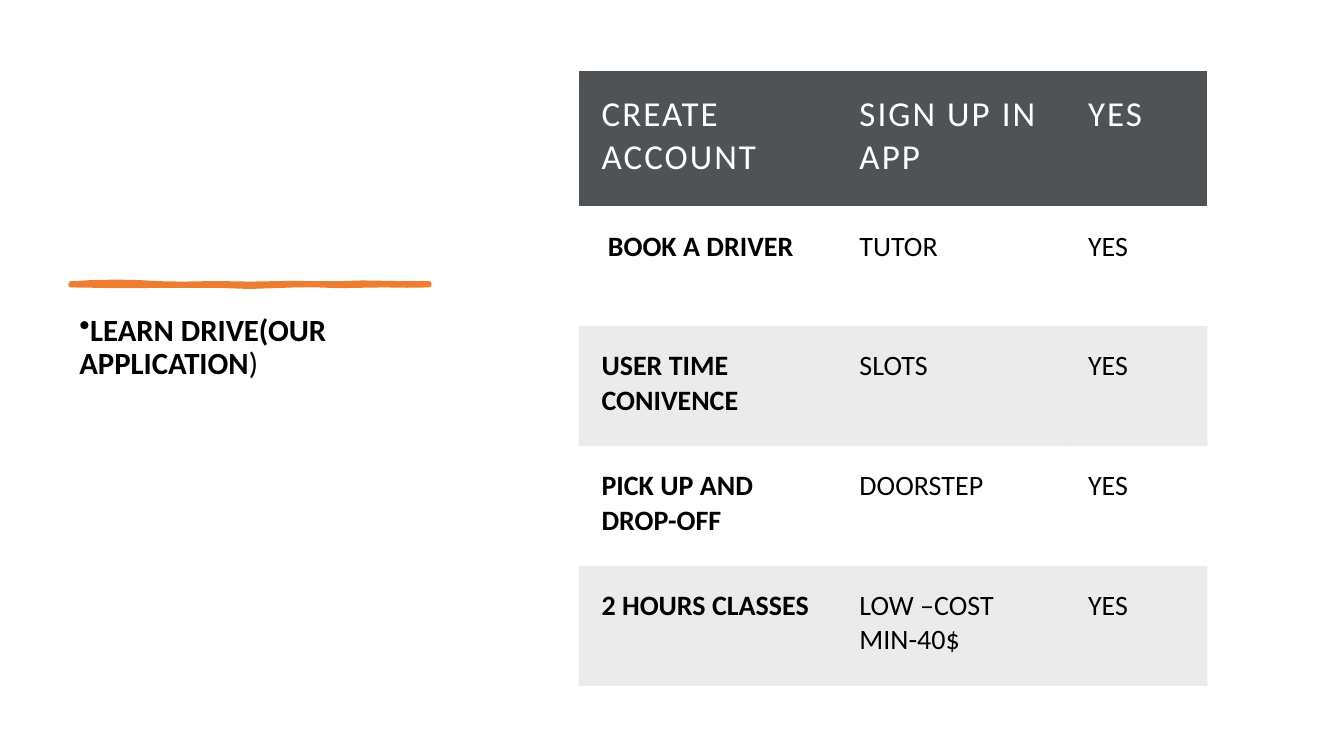
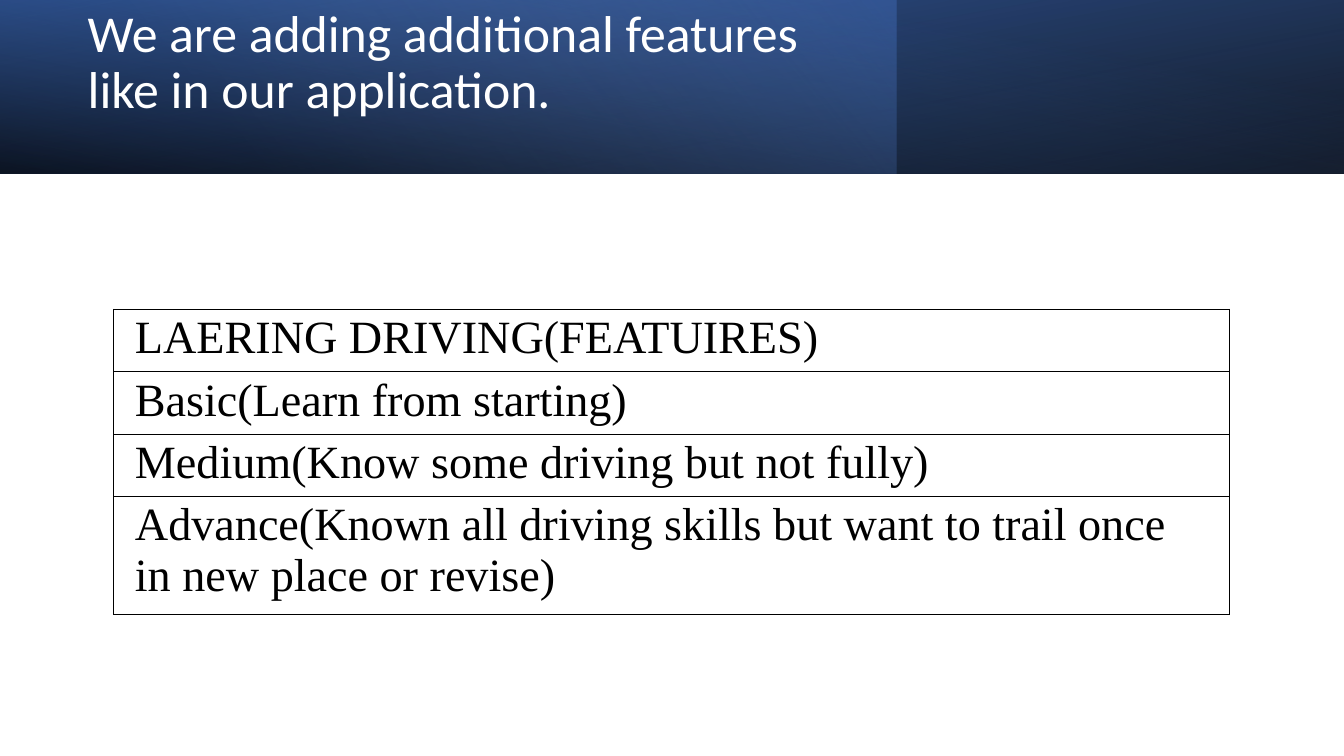
from lxml.etree import SubElement
from pptx import Presentation
from pptx.dml.color import RGBColor
from pptx.enum.shapes import MSO_SHAPE as Shape
from pptx.enum.text import MSO_ANCHOR as Anchor
from pptx.oxml.ns import qn
from pptx.util import Cm, Pt

COLORS = {
    "black": "000000", "white": "FFFFFF", "orange": "ED7D31", "header": "505356",
    "navy": "2F5597", "blue": "4472C4", "light_blue": "8FAADC",
}
BODY_FONT, TABLE_FONT = "Calibri", "Times New Roman"
NO_TABLE_STYLE = "{2D5ABB26-0587-4C30-8999-92F81FD0307C}"
SLIDE_WIDTH, SLIDE_HEIGHT = 33.87, 19.05


def rgb(name):
    return RGBColor.from_string(COLORS[name])


def set_opacity(color_element, percent):
    SubElement(color_element, qn("a:alpha")).set("val", str(percent * 1000))


def style_runs(paragraph, size, color="black", font=BODY_FONT, bold=False, spacing=0):
    for run in paragraph.runs:
        run.font.size = Pt(size)
        run.font.name = font
        run.font.bold = bold
        run.font.color.rgb = rgb(color)
        if spacing:
            run.font._element.set("spc", str(int(spacing * 100)))


def add_text_box(slide, left, top, width, height, anchor=Anchor.TOP):
    """Return the frame of a wrapping text box and its first paragraph."""
    frame = slide.shapes.add_textbox(Cm(left), Cm(top), Cm(width), Cm(height)).text_frame
    frame.word_wrap = True
    frame.vertical_anchor = anchor
    paragraph = frame.paragraphs[0]
    paragraph.line_spacing = 0.9
    return paragraph


def add_plain_table(slide, left, top, widths, heights, texts, insets):
    """Add an unstyled table and return its rows of cells."""
    table = slide.shapes.add_table(
        len(heights), len(widths), Cm(left), Cm(top), Cm(sum(widths)), Cm(sum(heights))
    ).table
    table.first_row = table.horz_banding = False
    table._tbl.tblPr.find(qn("a:tableStyleId")).text = NO_TABLE_STYLE
    for column, width in zip(table.columns, widths):
        column.width = Cm(width)
    for row, height, row_texts in zip(table.rows, heights, texts):
        row.height = Cm(height)
        for cell, text in zip(row.cells, row_texts):
            cell.text_frame.text = text
            (cell.margin_left, cell.margin_top,
             cell.margin_right, cell.margin_bottom) = [Cm(inset) for inset in insets]
            cell.fill.background()
    return [list(row.cells) for row in table.rows]


def add_brush_stroke(slide, left, top, width):
    """Draw a hand-made rule: a thin ribbon with wavy edges."""
    upper = [0, -0.03, -0.04, -0.03, 0, 0.01, 0, 0, 0.01, 0, -0.01, 0, 0, -0.02, -0.01, 0, 0]
    lower = [0.05, 0.06, 0.07, 0.07, 0.06, 0.06, 0.06, 0.07, 0.09,
             0.07, 0.05, 0.05, 0.07, 0.06, 0.05, 0.06, 0.05]
    step = width / (len(upper) - 1)
    edge = [(left + i * step, top + y) for i, y in enumerate(upper)]
    edge += [(left + i * step, top + y) for i, y in enumerate(lower)][::-1]
    points = [(Cm(x), Cm(y)) for x, y in edge]
    builder = slide.shapes.build_freeform(*points[0])
    builder.add_line_segments(points[1:], close=True)
    stroke = builder.convert_to_shape()
    stroke.shadow.inherit = False
    stroke.fill.solid()
    stroke.fill.fore_color.rgb = rgb("orange")
    stroke.line.color.rgb = rgb("orange")
    stroke.line.width = Pt(3)
    SubElement(stroke.line._get_or_add_ln(), qn("a:round"))


def add_bullet_text(slide, left, top, width, height):
    paragraph = add_text_box(slide, left, top, width, height)
    paragraph.space_after = Pt(6)
    paragraph.text = "LEARN DRIVE(OUR APPLICATION"
    paragraph.add_run().text = ")"
    style_runs(paragraph, 22, bold=True)
    paragraph.runs[-1].font.bold = False
    properties = paragraph._p.get_or_add_pPr()
    properties.set("marL", "0")
    properties.set("indent", str(-Cm(0.64)))
    SubElement(properties, qn("a:buChar")).set("char", "•")


def add_service_table(slide, left, top):
    texts = [
        ("CREATE ACCOUNT", "SIGN UP IN APP", "YES"),
        (" BOOK A DRIVER", "TUTOR", "YES"),
        ("USER TIME CONIVENCE", "SLOTS", "YES"),
        ("PICK UP AND DROP-OFF", "DOORSTEP", "YES"),
        ("2 HOURS CLASSES", "LOW –COST MIN-40$", "YES"),
    ]
    rows = add_plain_table(slide, left, top, [6.5, 5.76, 3.59], [3.42] + [3.02] * 4,
                           texts, [0.58] * 4)
    for row_index, cells in enumerate(rows):
        for column_index, cell in enumerate(cells):
            paragraph = cell.text_frame.paragraphs[0]
            if row_index == 0:
                style_runs(paragraph, 25, "white", spacing=1.5)
                cell.fill.solid()
                cell.fill.fore_color.rgb = rgb("header")
                continue
            style_runs(paragraph, 20, bold=column_index == 0)
            # Every second body row is tinted
            if row_index % 2 == 0:
                cell.fill.solid()
                cell.fill.fore_color.rgb = rgb("black")
                set_opacity(cell._tc.tcPr.find(qn("a:solidFill"))[0], 8)


def add_gradient_band(slide, width, height, angle, stops, rotation=0, flipped=False):
    """Stops are (position, colour, opacity); the angle runs clockwise."""
    band = slide.shapes.add_shape(Shape.RECTANGLE, 0, 0, Cm(width), Cm(height))
    band.shadow.inherit = False
    band.line.fill.background()
    band.rotation = rotation
    if flipped:
        band._element.spPr.xfrm.set("flipH", "1")
    band.fill.gradient()
    band.fill.gradient_angle = 360 - angle
    for stop, (position, color, _) in zip(band.fill.gradient_stops, stops):
        stop.position = position
        stop.color.rgb = rgb(color)
    colors = band._element.spPr.iter(qn("a:srgbClr"))
    for element, (_, _, opacity) in zip(list(colors), stops):
        set_opacity(element, opacity)


def add_title_band(slide, width, height, title):
    add_gradient_band(slide, width, height, 100,
                      [(0, "black", 96), (1, "navy", 100)], rotation=180, flipped=True)
    add_gradient_band(slide, width * 2 / 3, height, 140,
                      [(0, "blue", 41), (0.74, "light_blue", 0)])
    add_gradient_band(slide, width, height, 260,
                      [(0, "black", 63), (0.78, "blue", 15)], flipped=True)
    paragraph = add_text_box(slide, 1.96, 0, 19.6, 3.2, Anchor.MIDDLE)
    paragraph.text = title
    style_runs(paragraph, 37, "white")


def add_cell_borders(cell):
    properties = cell._tc.get_or_add_tcPr()
    for index, side in enumerate(("lnL", "lnR", "lnT", "lnB")):
        line = SubElement(properties, qn(f"a:{side}"))
        line.set("w", str(Pt(1)))
        fill = SubElement(line, qn("a:solidFill"))
        SubElement(fill, qn("a:srgbClr")).set("val", COLORS["black"])
        # Borders come before the cell fill
        properties.insert(index, line)


def add_level_table(slide, left, top, width):
    texts = [
        ["LAERING DRIVING(FEATUIRES)"],
        ["Basic(Learn from starting)"],
        ["Medium(Know some driving but not fully)"],
        ["Advance(Known all driving skills but want to trail once in new place or revise)"],
    ]
    rows = add_plain_table(slide, left, top, [width], [1.57] * 3 + [2.97],
                           texts, [0.53, 0.08, 0.53, 0])
    for (cell,) in rows:
        style_runs(cell.text_frame.paragraphs[0], 33, font=TABLE_FONT)
        add_cell_borders(cell)


def main():
    presentation = Presentation()
    presentation.slide_width = Cm(SLIDE_WIDTH)
    presentation.slide_height = Cm(SLIDE_HEIGHT)
    blank = presentation.slide_layouts[6]

    # Services of the application
    slide = presentation.slides.add_slide(blank)
    add_brush_stroke(slide, 1.78, 7.14, 9.04)
    add_bullet_text(slide, 1.75, 7.8, 9.53, 9.47)
    add_service_table(slide, 14.58, 1.78)

    # Learning levels
    slide = presentation.slides.add_slide(blank)
    add_title_band(slide, SLIDE_WIDTH, 4.37,
                   "We are adding additional features like in our application.")
    add_level_table(slide, 2.87, 7.8, 28.12)

    presentation.save("out.pptx")


if __name__ == "__main__":
    main()
